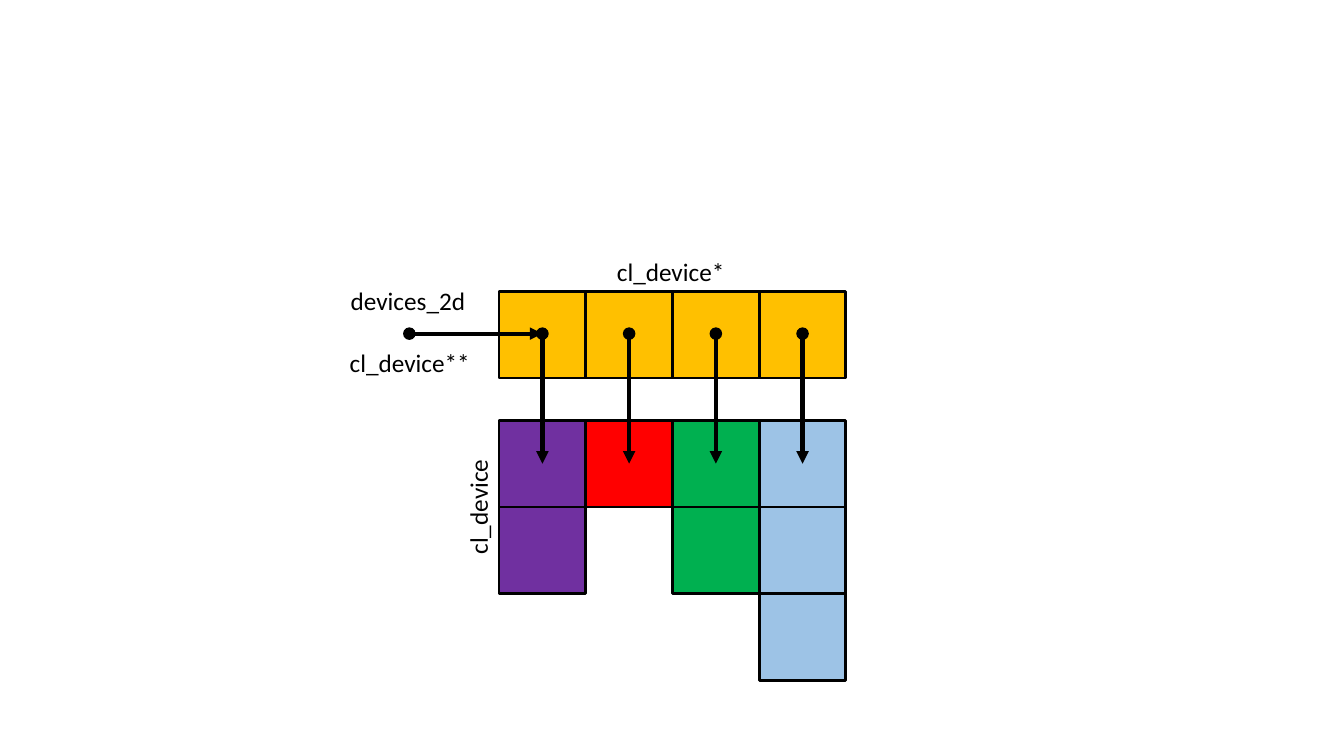
from dataclasses import dataclass

from lxml.etree import SubElement
from pptx import Presentation
from pptx.dml.color import RGBColor
from pptx.enum.shapes import MSO_CONNECTOR, MSO_SHAPE
from pptx.enum.text import MSO_AUTO_SIZE
from pptx.oxml.ns import qn
from pptx.util import Inches, Pt


@dataclass(frozen=True)
class Theme:
    """Colours, font and sizes shared by the whole diagram."""
    ink: str = "000000"
    pointer: str = "FFC000"
    purple: str = "7030A0"
    red: str = "FF0000"
    green: str = "00B050"
    blue: str = "9DC3E6"
    font: str = "Calibri"
    label_size: int = 18
    border: int = 2
    arrow: int = 3


THEME = Theme()
CELL = 0.86
POINTER_DEPTH = 0.42
DEVICE_ROWS = [(THEME.purple, 2), (THEME.red, 1), (THEME.green, 2), (THEME.blue, 3)]


def add_cell(slide, left, top, colour):
    """Draw one square memory cell."""
    cell = slide.shapes.add_shape(
        MSO_SHAPE.RECTANGLE, Inches(left), Inches(top), Inches(CELL), Inches(CELL))
    cell.shadow.inherit = False
    cell.fill.solid()
    cell.fill.fore_color.rgb = RGBColor.from_string(colour)
    cell.line.color.rgb = RGBColor.from_string(THEME.ink)
    cell.line.width = Pt(THEME.border)


def add_pointer(slide, start, end):
    """Draw an arrow with a round tail between two (x, y) points."""
    pointer = slide.shapes.add_connector(
        MSO_CONNECTOR.STRAIGHT, *(Inches(value) for value in (*start, *end)))
    pointer.line.color.rgb = RGBColor.from_string(THEME.ink)
    pointer.line.width = Pt(THEME.arrow)
    outline = pointer.line._get_or_add_ln()
    SubElement(outline, qn("a:headEnd"), type="oval")
    SubElement(outline, qn("a:tailEnd"), type="triangle")
    SubElement(pointer._element.spPr, qn("a:effectLst"))


def add_label(slide, text, left, top, width, rotation=0):
    """Place a single-line type or variable label."""
    label = slide.shapes.add_textbox(
        Inches(left), Inches(top), Inches(width), Inches(0.4))
    label.rotation = rotation
    frame = label.text_frame
    frame.word_wrap = False
    frame.auto_size = MSO_AUTO_SIZE.SHAPE_TO_FIT_TEXT
    frame.text = text
    font = frame.paragraphs[0].runs[0].font
    font.name = THEME.font
    font.size = Pt(THEME.label_size)
    font.color.rgb = RGBColor.from_string(THEME.ink)


def add_pointer_array(slide, left, top):
    """Draw the row of device pointers and its type label."""
    for column in range(len(DEVICE_ROWS)):
        add_cell(slide, left + column * CELL, top, THEME.pointer)
    add_label(slide, "cl_device*", left + 1.07, top - 0.4, 1.28)


def add_variable(slide, left, top):
    """Draw the variable that points at the first pointer cell."""
    level = top + POINTER_DEPTH
    add_pointer(slide, (left - 0.89, level), (left + CELL / 2, level))
    add_label(slide, "devices_2d", left - 1.57, top - 0.11, 1.35)
    add_label(slide, "cl_device**", left - 1.58, top + 0.51, 1.41)


def add_device_arrays(slide, left, top):
    """Draw one column of devices per pointer and the type label."""
    for column, (colour, count) in enumerate(DEVICE_ROWS):
        for row in range(count):
            add_cell(slide, left + column * CELL, top + row * CELL, colour)
    add_label(slide, "cl_device", left - 0.79, top + 0.65, 1.16, rotation=270)


def add_links(slide, left, pointers_top, devices_top):
    """Link every pointer cell to the first device of its column."""
    for column in range(len(DEVICE_ROWS)):
        centre = left + (column + 0.5) * CELL
        add_pointer(slide, (centre, pointers_top + POINTER_DEPTH),
                    (centre, devices_top + CELL / 2))


def build_diagram(slide, left, top):
    """Assemble the two-dimensional device array."""
    devices_top = top + 1.28
    add_pointer_array(slide, left, top)
    add_variable(slide, left, top)
    add_device_arrays(slide, left, devices_top)
    add_links(slide, left, top, devices_top)


presentation = Presentation()
presentation.slide_width = Inches(13.33)
presentation.slide_height = Inches(7.5)
blank_layout = presentation.slide_layouts[6]
build_diagram(presentation.slides.add_slide(blank_layout), left=4.95, top=2.89)
presentation.save("out.pptx")
